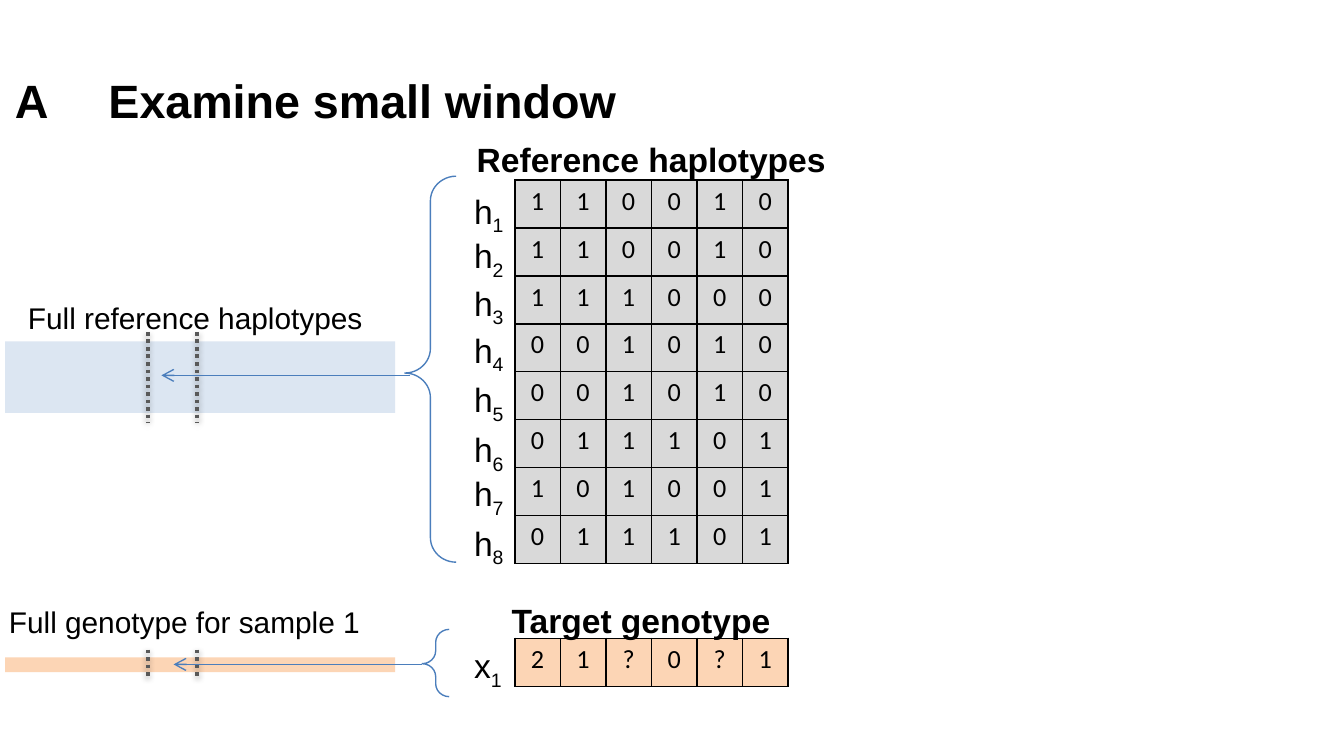
from dataclasses import dataclass

from lxml import etree
from pptx import Presentation
from pptx.dml.color import RGBColor
from pptx.enum.dml import MSO_LINE
from pptx.enum.shapes import MSO_CONNECTOR, MSO_SHAPE
from pptx.enum.text import MSO_AUTO_SIZE, PP_ALIGN
from pptx.oxml import parse_xml
from pptx.oxml.ns import nsdecls, qn
from pptx.util import Cm, Pt

STRAIGHT = MSO_CONNECTOR.STRAIGHT
RECT, BRACE = MSO_SHAPE.RECTANGLE, MSO_SHAPE.LEFT_BRACE
DOTS = MSO_LINE.ROUND_DOT
GROW = MSO_AUTO_SIZE.SHAPE_TO_FIT_TEXT
LEFT, CENTER = PP_ALIGN.LEFT, PP_ALIGN.CENTER


@dataclass(frozen=True)
class Theme:
    black: RGBColor = RGBColor(0, 0, 0)
    gray: RGBColor = RGBColor(0xD9, 0xD9, 0xD9)
    peach: RGBColor = RGBColor(0xFC, 0xD5, 0xB5)
    pale: RGBColor = RGBColor(0xDC, 0xE6, 0xF2)
    blue: RGBColor = RGBColor(0x4B, 0x7E, 0xBC)
    dark: RGBColor = RGBColor(0x59, 0x59, 0x59)
    font: str = "Arial"
    digits: str = "Calibri"
    title: int = 25
    head: int = 18
    note: int = 16
    cell: int = 14


theme = Theme()


def write(frame, text, size, font=theme.font, bold=False, sub="", align=LEFT):
    """Fill a text frame with one line, with an optional subscript."""
    para = frame.paragraphs[0]
    para.alignment = align
    for part in filter(None, (text, sub)):
        run = para.add_run()
        run.text = part
        run.font.size = Pt(size)
        run.font.name = font
        run.font.bold = bold
        run.font.color.rgb = theme.black
    if sub:
        run.font._element.set("baseline", "-25000")
    return para


def link(x1, y1, x2, y2, color, width):
    """Draw a straight line without the theme's shadow; lengths in cm."""
    line = slide.shapes.add_connector(STRAIGHT, Cm(x1), Cm(y1), Cm(x2), Cm(y2))
    line.line.color.rgb = color
    line.line.width = Pt(width)
    etree.SubElement(line._element.spPr, qn("a:effectLst"))
    return line


prs = Presentation()
prs.slide_width, prs.slide_height = Cm(25.4), Cm(14.28)
slide = prs.slides.add_slide(prs.slide_layouts[6])

# Allele tables
haps = ["110010", "110010", "111000", "001010",
        "001010", "011101", "101001", "011101"]
for top, high, rows, fill in [(3.4, 7.24, haps, theme.gray),
                              (12.06, 0.91, ["21?0?1"], theme.peach)]:
    grid = slide.shapes.add_table(len(rows), 6, Cm(9.73), Cm(top),
                                  Cm(5.16), Cm(high)).table
    for r, row in enumerate(rows):
        grid.rows[r].height = Cm(high / len(rows))
        for c, mark in enumerate(row):
            cell = grid.cell(r, c)
            cell.margin_top = cell.margin_bottom = Cm(0.1)
            write(cell.text_frame, mark, theme.cell, font=theme.digits,
                  align=CENTER)
            for side in "LRTB":
                cell._tc.get_or_add_tcPr().append(parse_xml(
                    f'<a:ln{side} {nsdecls("a")} w="12700"><a:solidFill>'
                    f'<a:srgbClr val="{theme.black}"/></a:solidFill></a:ln{side}>'))
            cell.fill.solid()
            cell.fill.fore_color.rgb = fill

# Full-length bars
for top, high, fill in [(6.45, 1.35, theme.pale), (12.42, 0.28, theme.peach)]:
    bar = slide.shapes.add_shape(RECT, Cm(0.1), Cm(top), Cm(7.37), Cm(high))
    bar.shadow.inherit = False
    bar.fill.solid()
    bar.fill.fore_color.rgb = fill
    bar.line.fill.background()

# Row names, headings and notes
tops = [3.48, 4.32, 5.21, 6.1, 7.04, 7.98, 8.81, 9.75]
names = [("h", str(i), 8.71, top, 1.12, 1.02, theme.head, False)
         for i, top in enumerate(tops, 1)]
texts = names + [
    ("x", "1", 8.71, 12.06, 1.07, 1.02, theme.head, False),
    ("Reference haplotypes", "", 8.76, 2.49, 7.19, 1.02, theme.head, True),
    ("Target genotype", "", 9.42, 11.2, 5.46, 1.02, theme.head, True),
    ("A\tExamine small window", "", 0.03, 1.24, 12.07, 1.32, theme.title, True),
    ("Full reference haplotypes", "", 0.28, 5.54, 6.91, 0.94, theme.note, False),
    ("Full genotype for sample 1", "", -0.08, 11.28, 7.24, 0.94, theme.note, False),
]
for text, sub, x, y, w, h, size, bold in texts:
    frame = slide.shapes.add_textbox(Cm(x), Cm(y), Cm(w), Cm(h)).text_frame
    frame.word_wrap = False
    frame.auto_size = GROW
    para = write(frame, text, size, bold=bold, sub=sub)
    if "\t" in text:
        stops = etree.SubElement(para._p.get_or_add_pPr(), qn("a:tabLst"))
        etree.SubElement(stops, qn("a:tab"), pos=str(Cm(1.77)), algn="l")

# Window edges
for top, end in [(6.27, 7.98), (12.27, 12.83)]:
    for x in (2.79, 3.73):
        edge = link(x, top, x, end, theme.dark, 2)
        edge.line.dash_style = DOTS
        edge._element.spPr.find(qn("a:effectLst")).append(parse_xml(
            f'<a:outerShdw {nsdecls("a")} blurRad="40000" dist="20000" '
            'dir="5400000" rotWithShape="0"><a:srgbClr val="000000">'
            '<a:alpha val="38000"/></a:srgbClr></a:outerShdw>'))

# Braces with arrows back to the window
for x, y, w, h, start, end, mid in [
        (7.65, 3.33, 0.97, 7.29, 7.75, 3.05, 7.09),
        (7.98, 11.89, 0.51, 1.27, 7.98, 3.28, 12.55)]:
    brace = slide.shapes.add_shape(BRACE, Cm(x), Cm(y), Cm(w), Cm(h))
    brace.shadow.inherit = False
    brace.adjustments[0], brace.adjustments[1] = 0.48, 0.51
    brace.fill.background()
    brace.line.color.rgb = theme.blue
    brace.line.width = Pt(0.75)
    arrow = link(start, mid, end, mid, theme.blue, 0.75)
    etree.SubElement(arrow.line._get_or_add_ln(), qn("a:tailEnd"), type="arrow")

prs.save("out.pptx")
